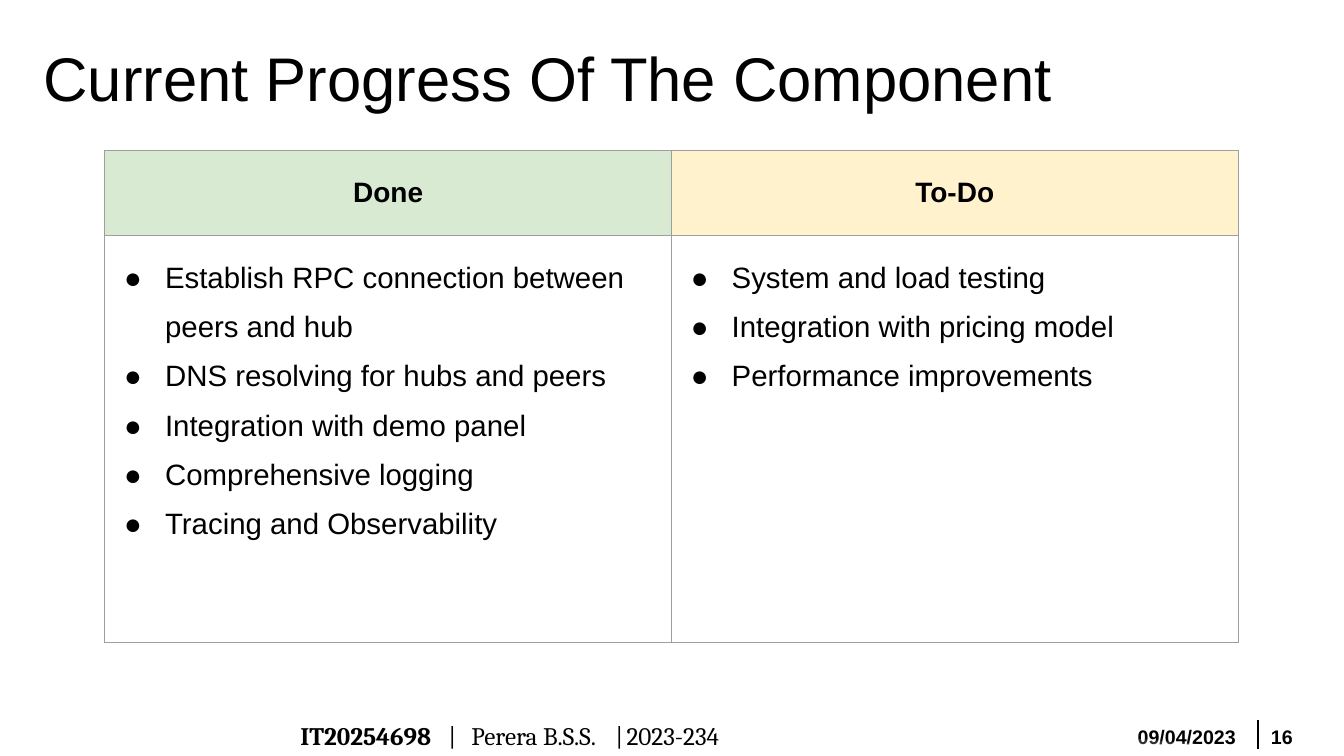
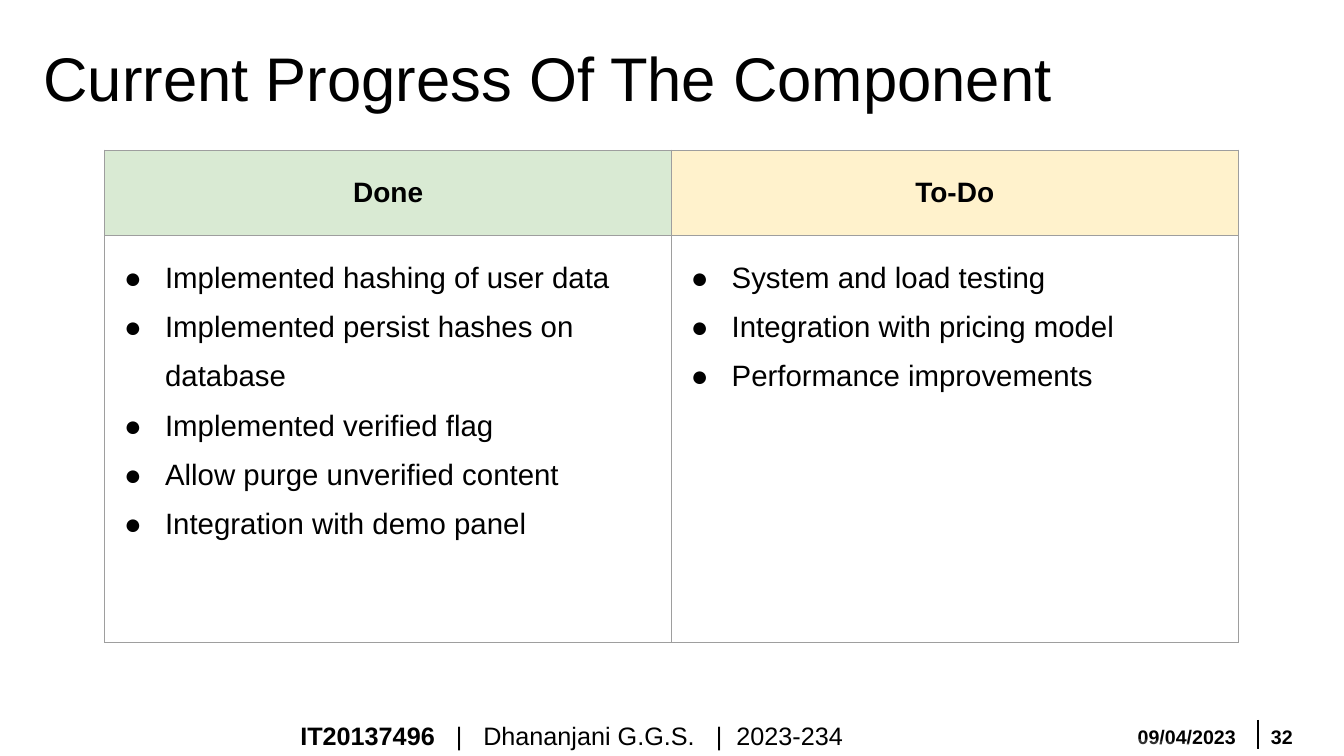
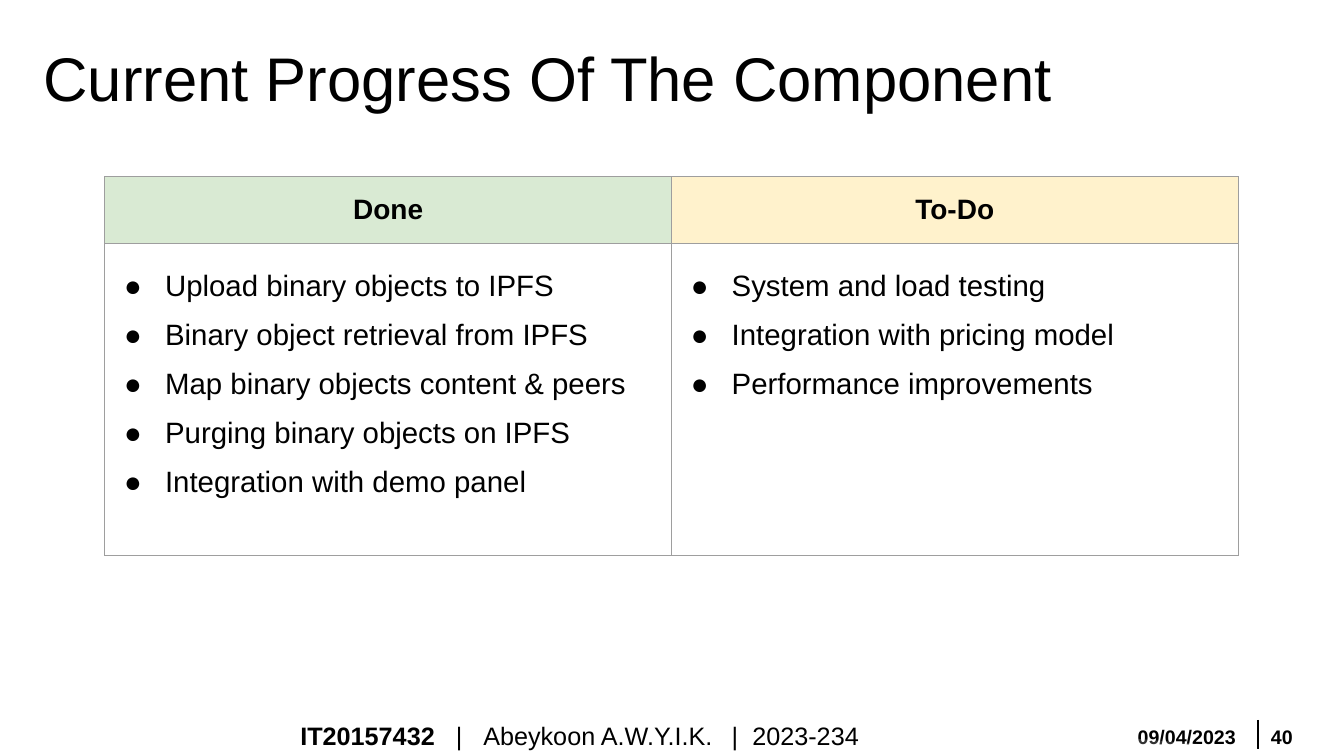
from dataclasses import dataclass

from lxml import etree
from pptx import Presentation
from pptx import util as u
from pptx.dml.color import RGBColor
from pptx.enum import shapes, text
from pptx.oxml.ns import qn

# Shared look
BLACK, WHITE, GRID = "000000", "FFFFFF", "9E9E9E"
DONE_FILL, TODO_FILL = "D9EAD3", "FFF2CC"
FONT = "Arial"
SLIDE_W, SLIDE_H = 33.87, 19.05
TABLE_LEFT, COL_W = 2.64, 14.28
TITLE = "Current Progress Of The Component"
DATE = "09/04/2023"
TODO = ["System and load testing", "Integration with pricing model",
        "Performance improvements"]


@dataclass
class Band:
    """White translucent triangle at the foot of the slide, in cm."""
    height: float
    peak: float


@dataclass
class Progress:
    """One member's progress slide; lengths in cm."""
    number: str
    student: str
    name: str
    tabs: tuple[float, ...]
    done: list[str]
    table_top: float = 3.78
    rows: tuple[float, float] = (2.16, 10.24)
    footer_font: str = FONT


BANDS = [Band(1.04, 0.63), Band(0.5, 0.39)]
SLIDES = [
    Progress("16", "IT20254698", "Perera B.S.S.", (3.73, 4.31, 7.94, 8.22),
             ["Establish RPC connection between peers and hub",
              "DNS resolving for hubs and peers", "Integration with demo panel",
              "Comprehensive logging", "Tracing and Observability"],
             footer_font="Cambria"),
    Progress("32", "IT20137496", "Dhananjani G.G.S.", (3.92, 4.61, 10.47, 10.99),
             ["Implemented hashing of user data",
              "Implemented persist hashes on database",
              "Implemented verified flag", "Allow purge unverified content",
              "Integration with demo panel"]),
    Progress("40", "IT20157432", "Abeykoon A.W.Y.I.K.", (3.92, 4.61, 10.87, 11.39),
             ["Upload binary objects to IPFS", "Binary object retrieval from IPFS",
              "Map binary objects content & peers", "Purging binary objects on IPFS",
              "Integration with demo panel"],
             table_top=4.45, rows=(1.68, 7.87)),
]


def color(value: str) -> RGBColor:
    return RGBColor.from_string(value)


def add_xml(parent, tag: str, **attrs):
    return etree.SubElement(parent, qn(tag), attrs)


def style(r, size: float, bold: bool = False, font: str = FONT) -> None:
    r.font.size, r.font.bold, r.font.name = u.Pt(size), bold, font
    r.font.color.rgb = color(BLACK)


def add_box(s, left: float, top: float, width: float, height: float):
    """Add a wrapped, vertically centred text box and return its paragraph."""
    sp = s.shapes.add_textbox(u.Cm(left), u.Cm(top), u.Cm(width), u.Cm(height))
    tf = sp.text_frame
    tf.word_wrap = True
    tf.vertical_anchor = text.MSO_ANCHOR.MIDDLE
    return tf.paragraphs[0]


def add_title(s) -> None:
    sp = s.shapes.title
    sp.left, sp.top, sp.width, sp.height = map(u.Cm, (0.84, 0.84, 29.82, 2.21))
    tf = sp.text_frame
    tf.text = TITLE
    tf.vertical_anchor = text.MSO_ANCHOR.MIDDLE
    p = tf.paragraphs[0]
    p.alignment = text.PP_ALIGN.LEFT
    style(p.runs[0], 44)


def add_footer(s, item: Progress) -> None:
    # Slide number and date
    for label, left, width in ((item.number, 31.78, 1.88), (DATE, 28.42, 3.1)):
        p = add_box(s, left, 18.24, width, 0.64)
        p.text = label
        style(p.runs[0], 14, bold=True)

    # Divider
    line = s.shapes.add_connector(shapes.MSO_CONNECTOR.STRAIGHT, u.Cm(31.7),
                                  u.Cm(18.14), u.Cm(31.7), u.Cm(18.87))
    line.line.color.rgb = color(BLACK)
    line.line.width = u.Pt(1.5)
    add_xml(line._element.spPr, "a:effectLst")

    # Translucent bands
    for band in BANDS:
        sp = s.shapes.add_shape(shapes.MSO_SHAPE.ISOSCELES_TRIANGLE, 0,
                                u.Cm(SLIDE_H - band.height), u.Cm(SLIDE_W),
                                u.Cm(band.height))
        sp.adjustments[0] = band.peak
        sp.shadow.inherit = False
        sp.fill.solid()
        sp.fill.fore_color.rgb = color(WHITE)
        add_xml(sp._element.spPr.find(".//" + qn("a:srgbClr")), "a:alpha", val="20000")
        sp.line.fill.background()

    # Student line, spaced by tab stops
    p = add_box(s, 7.32, 18.03, 18.92, 1.02)
    stops = add_xml(p._p.get_or_add_pPr(), "a:tabLst")
    for stop in item.tabs:
        add_xml(stops, "a:tab", pos=str(u.Cm(stop)), algn="l")
    details = "\t".join(["", "|", item.name, "|", "2023-234"])
    for words, bold in ((item.student, True), (details, False)):
        r = p.add_run()
        r.text = words
        style(r, 18, bold, item.footer_font)


def format_cell(cell, fill: str | None) -> None:
    """Give a cell even margins, grey borders and an optional fill."""
    cell.margin_left = cell.margin_right = u.Cm(0.25)
    cell.margin_top = cell.margin_bottom = u.Cm(0.25)
    tc_pr = cell._tc.get_or_add_tcPr()
    for side in ("L", "R", "T", "B"):
        ln = add_xml(tc_pr, f"a:ln{side}", w=str(u.Pt(0.75)))
        add_xml(add_xml(ln, "a:solidFill"), "a:srgbClr", val=GRID)
    if fill:
        cell.fill.solid()
        cell.fill.fore_color.rgb = color(fill)
    else:
        cell.fill.background()


def fill_list(cell, items: list[str]) -> None:
    tf = cell.text_frame
    tf.text = "\n".join(items)
    for i, p in enumerate(tf.paragraphs):
        p.line_spacing = 1.5
        p.space_before = u.Pt(0 if i else 3.6)
        p_pr = p._p.get_or_add_pPr()
        p_pr.set("marL", str(u.Cm(1.27)))
        p_pr.set("indent", str(u.Cm(-1.03)))
        add_xml(add_xml(p_pr, "a:buClr"), "a:srgbClr", val=BLACK)
        add_xml(p_pr, "a:buFont", typeface=FONT)
        add_xml(p_pr, "a:buChar", char="●")
        style(p.runs[0], 21)


def add_progress_table(s, item: Progress) -> None:
    table = s.shapes.add_table(2, 2, u.Cm(TABLE_LEFT), u.Cm(item.table_top),
                               u.Cm(2 * COL_W), u.Cm(sum(item.rows))).table
    table.first_row = table.horz_banding = False
    for row, height in zip(table.rows, item.rows):
        row.height = u.Cm(height)
    columns = (("Done", DONE_FILL, item.done), ("To-Do", TODO_FILL, TODO))
    for i, (heading, fill, items) in enumerate(columns):
        table.columns[i].width = u.Cm(COL_W)
        head, body = table.cell(0, i), table.cell(1, i)
        format_cell(head, fill)
        head.vertical_anchor = text.MSO_ANCHOR.MIDDLE
        head.text_frame.text = heading
        p = head.text_frame.paragraphs[0]
        p.alignment = text.PP_ALIGN.CENTER
        style(p.runs[0], 20, bold=True)
        format_cell(body, None)
        fill_list(body, items)


def main() -> None:
    prs = Presentation()
    prs.slide_width, prs.slide_height = u.Cm(SLIDE_W), u.Cm(SLIDE_H)
    for item in SLIDES:
        s = prs.slides.add_slide(prs.slide_layouts[5])
        add_title(s)
        add_footer(s, item)
        add_progress_table(s, item)
    prs.save("out.pptx")


if __name__ == "__main__":
    main()
